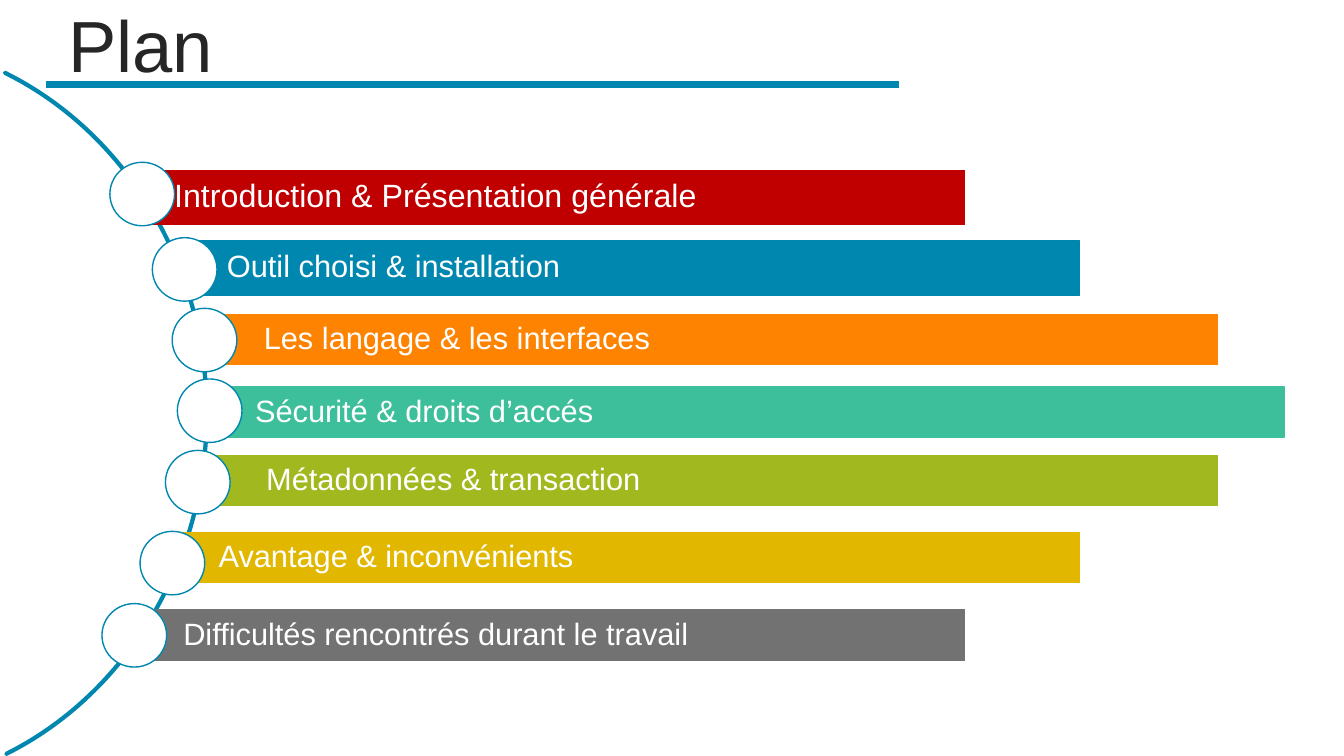
from pptx import Presentation
from pptx import util as u
from pptx.dml.color import RGBColor
from pptx.enum import shapes, text
from pptx.oxml.ns import qn

HEADING = "Plan"
BLUE, WHITE, DARK = "0087AF", "FFFFFF", "262626"
FONT = "Arial"

# label, size, colour, bar (left, top, right, height), text indent, marker (left, top)
TOPICS = [
    ("Introduction & Présentation générale", 23, "C00000", (3.35, 4.29, 24.32, 1.37), 1.04, (2.77, 4.09)),
    ("Outil choisi & installation", 22, BLUE, (4.83, 6.07, 27.2, 1.37), 0.89, (3.84, 5.99)),
    ("Les langage & les interfaces", 22, "FE8301", (5.61, 7.92, 30.68, 1.27), 1.04, (4.34, 7.77)),
    ("Sécurité & droits d’accés", 22, "3DBF9C", (5.18, 9.75, 32.36, 1.27), 1.25, (4.47, 9.55)),
    ("Métadonnées & transaction", 22, "A1B81F", (4.98, 11.48, 30.68, 1.27), 1.73, (4.17, 11.35)),
    ("Avantage & inconvénients", 22, "E2B700", (4.47, 13.41, 27.2, 1.27), 1.04, (3.53, 13.39)),
    ("Difficultés rencontrés durant le travail", 22, "727272", (3.58, 15.37, 24.32, 1.27), 1.04, (2.57, 15.21)),
]
MARKER_SIZE = (1.63, 1.6)
ARC_BOX = (-12.14, 0.99, 17.35, 18.87)
ARC_START, ARC_END = 292.7, 67.07
ADJUSTMENT_PER_DEGREE = 0.6
TITLE_BOX = (1.47, 0.1, 29.21, 2.26)
RULE_LEFT, RULE_RIGHT, RULE_Y = 1.17, 22.66, 2.13


def colour(value):
    return RGBColor.from_string(value)


def apply(target, values):
    for key, value in values.items():
        setattr(target, key, value)


def add_figure(slide, kind, box, fill, outline, weight):
    figure = slide.shapes.add_shape(kind, *map(u.Cm, box))
    figure.shadow.inherit = False
    figure.fill.solid()
    figure.fill.fore_color.rgb = colour(fill)
    figure.line.color.rgb = colour(outline)
    figure.line.width = u.Pt(weight)
    return figure


def write(shape, wording, size, ink, frame_format):
    frame = shape.text_frame
    apply(frame, {"word_wrap": True, "auto_size": text.MSO_AUTO_SIZE.NONE,
                  "vertical_anchor": text.MSO_ANCHOR.MIDDLE, **frame_format})
    paragraph = frame.paragraphs[0]
    apply(paragraph, {"alignment": text.PP_ALIGN.LEFT, "line_spacing": 0.9})
    run = paragraph.add_run()
    run.text = wording
    apply(run.font, {"name": FONT, "size": u.Pt(size)})
    run.font.color.rgb = colour(ink)


def main():
    deck = Presentation()
    apply(deck, {"slide_width": u.Cm(33.87), "slide_height": u.Cm(19.05)})
    slide = deck.slides.add_slide(deck.slide_layouts[5])

    heading = slide.shapes.title
    apply(heading, dict(zip(("left", "top", "width", "height"), map(u.Cm, TITLE_BOX))))
    write(heading, HEADING, 51.7, DARK, {})

    arc = add_figure(slide, shapes.MSO_SHAPE.BLOCK_ARC, ARC_BOX, BLUE, BLUE, 3)
    for index, degrees in enumerate((ARC_START, ARC_END, 0)):
        arc.adjustments[index] = degrees * ADJUSTMENT_PER_DEGREE

    rule = slide.shapes.add_connector(shapes.MSO_CONNECTOR.STRAIGHT, u.Cm(RULE_LEFT), u.Cm(RULE_Y),
                                      u.Cm(RULE_RIGHT), u.Cm(RULE_Y))
    rule.line.color.rgb = colour(BLUE)
    rule.line.width = u.Pt(4.5)
    properties = rule._element.spPr
    properties.append(properties.makeelement(qn("a:effectLst"), {}))

    for label, size, tint, (left, top, right, height), indent, marker in TOPICS:
        bar = add_figure(slide, shapes.MSO_SHAPE.RECTANGLE, (left, top, right - left, height), tint, tint, 0.75)
        write(bar, label, size, WHITE, {"margin_left": u.Cm(indent), "margin_right": u.Cm(0.15),
                                        "margin_top": u.Cm(0.15), "margin_bottom": u.Cm(0.15)})
        add_figure(slide, shapes.MSO_SHAPE.OVAL, marker + MARKER_SIZE, WHITE, BLUE, 1)

    deck.save("out.pptx")


if __name__ == "__main__":
    main()
